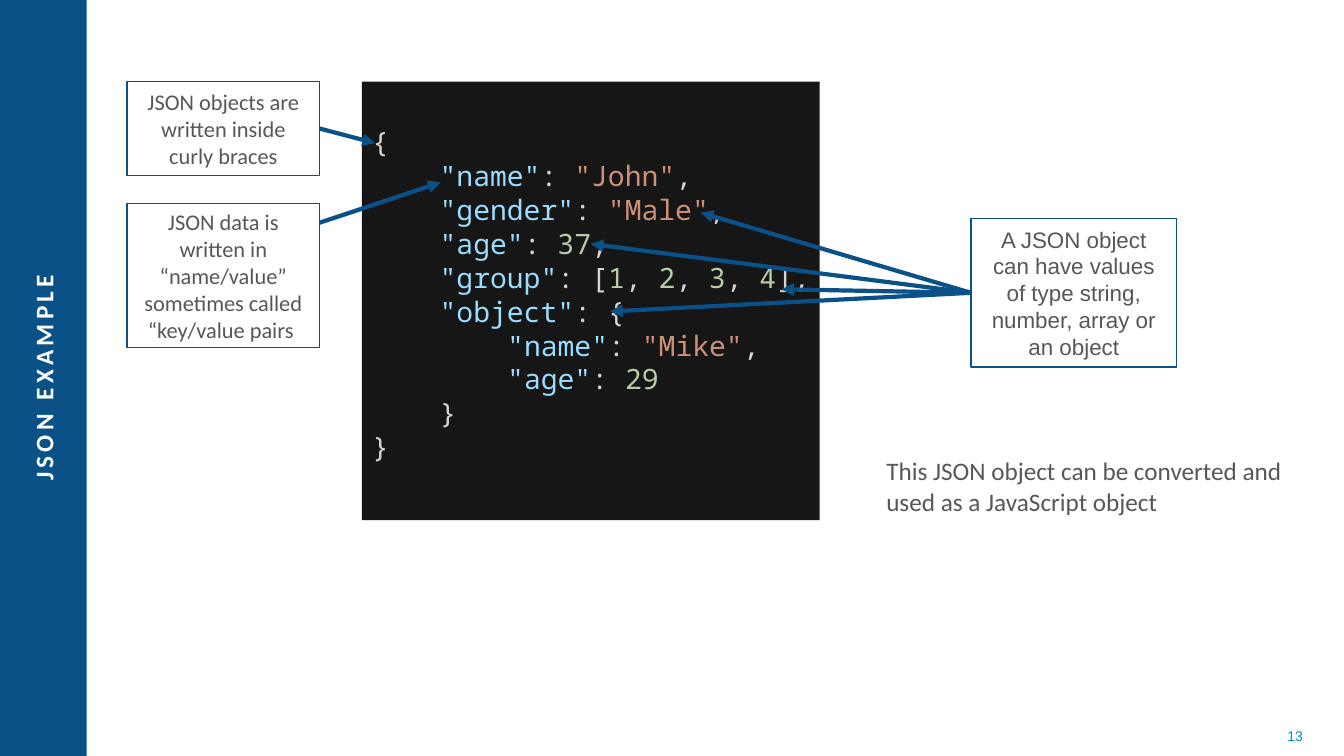
from lxml.etree import SubElement
from pptx import Presentation
from pptx.dml.color import RGBColor
from pptx.enum.shapes import MSO_CONNECTOR as Connector, MSO_SHAPE as Preset
from pptx.enum.text import MSO_ANCHOR as Anchor, MSO_AUTO_SIZE as AutoSize, PP_ALIGN as Align
from pptx.oxml.ns import qn
from pptx.util import Inches, Pt

BLUE, WHITE, GREY, CYAN, DARK = "0A5188", "FFFFFF", "565759", "008FD0", "161616"
KEY, STRING, NUMBER, PUNCTUATION = "9CDCFE", "CE9178", "B5CEA8", "D4D4D4"
CODE_INDENT = 0.67
RIGHT_SIDE, LEFT_SIDE = 3, 1

CODE_LINES = [
    (0, ["{"]),
    (1, ['"name"', ": ", '"John"', ","]),
    (1, ['"gender"', ": ", '"Male"', ","]),
    (1, ['"age"', ": ", "37", ","]),
    (1, ['"group"', ": [", "1", ", ", "2", ", ", "3", ", ", "4", "],"]),
    (1, ['"object"', ": {"]),
    (2, ['"name"', ": ", '"Mike"', ","]),
    (2, ['"age"', ": ", "29"]),
    (1, ["}"]),
    (0, ["}"]),
]


def color(hex_value):
    return RGBColor.from_string(hex_value)


def place(shape, left, top, width, height):
    shape.left, shape.top = Inches(left), Inches(top)
    shape.width, shape.height = Inches(width), Inches(height)


def set_font(font, name, size, hex_value, bold=False):
    font.name, font.size, font.bold = name, Pt(size), bold
    font.color.rgb = color(hex_value)


def set_frame(frame, anchor):
    frame.word_wrap = True
    frame.auto_size = AutoSize.NONE
    frame.vertical_anchor = anchor


def remove_bullet(paragraph, indent=0):
    properties = paragraph._p.get_or_add_pPr()
    properties.set("marL", str(Inches(indent)))
    properties.set("indent", "0")
    SubElement(properties, qn("a:buNone"))


def add_rectangle(slide, box, fill, line=None):
    shape = slide.shapes.add_shape(Preset.RECTANGLE, *map(Inches, box))
    shape.shadow.inherit = False
    shape.fill.solid()
    shape.fill.fore_color.rgb = color(fill)
    if line:
        shape.line.color.rgb = color(line)
        shape.line.width = Pt(1)
    else:
        shape.line.fill.background()
    return shape


def add_sidebar(slide, box):
    left, top, width, height = box
    band = add_rectangle(slide, box, BLUE)
    slide.shapes._spTree.insert(2, band._element)
    title = slide.shapes.title
    length, thickness = 7.68, 0.32
    place(title, left + (width - length) / 2, top + (height - thickness) / 2 - 0.01, length, thickness)
    title.rotation = 270
    set_frame(title.text_frame, Anchor.MIDDLE)
    paragraph = title.text_frame.paragraphs[0]
    paragraph.alignment = Align.CENTER
    run = paragraph.add_run()
    run.text = "JSON EXAMPLE"
    set_font(run.font, "Calibri", 18, WHITE, bold=True)
    run._r.get_or_add_rPr().set("spc", "300")


def add_slide_number(slide, box):
    shape = slide.shapes.add_textbox(*map(Inches, box))
    set_frame(shape.text_frame, Anchor.MIDDLE)
    paragraph = shape.text_frame.paragraphs[0]
    paragraph.text = "13"
    paragraph.alignment = Align.RIGHT
    set_font(paragraph.font, "Arial", 10, CYAN)


def fill_remark(remark, box):
    place(remark, *box)
    set_frame(remark.text_frame, Anchor.BOTTOM)
    paragraph = remark.text_frame.paragraphs[0]
    paragraph.text = "This JSON object can be converted and used as a JavaScript object"
    paragraph.space_before, paragraph.space_after = Pt(10), Pt(8)
    set_font(paragraph.font, "Calibri", 18, GREY)
    remove_bullet(paragraph)


def token_color(position, token):
    if token.startswith('"'):
        return STRING if position else KEY
    return NUMBER if token.isdigit() else PUNCTUATION


def fill_code(code, box):
    place(code, *box)
    code.fill.solid()
    code.fill.fore_color.rgb = color(DARK)
    frame = code.text_frame
    set_frame(frame, Anchor.MIDDLE)
    frame.margin_right = Inches(0)
    for number, (level, tokens) in enumerate(CODE_LINES):
        paragraph = frame.add_paragraph() if number else frame.paragraphs[0]
        paragraph.line_spacing = Pt(14.2)
        paragraph.space_before, paragraph.space_after = Pt(10), Pt(0)
        remove_bullet(paragraph, level * CODE_INDENT)
        for position, token in enumerate(tokens):
            run = paragraph.add_run()
            run.text = token
            set_font(run.font, "Noto Sans Mono", 20, token_color(position, token))


def add_callout(slide, box, text, font_name="Calibri"):
    shape = add_rectangle(slide, box, WHITE, BLUE)
    set_frame(shape.text_frame, Anchor.MIDDLE)
    paragraph = shape.text_frame.paragraphs[0]
    paragraph.text = text
    paragraph.alignment = Align.CENTER
    set_font(paragraph.font, font_name, 16, GREY)
    return shape


def add_arrow(slide, start, end, callout=None, side=None):
    arrow = slide.shapes.add_connector(Connector.STRAIGHT, *map(Inches, start + end))
    if callout is not None:
        arrow.begin_connect(callout, side)
    arrow.line.color.rgb = color(BLUE)
    arrow.line.width = Pt(3)
    SubElement(arrow.line._get_or_add_ln(), qn("a:tailEnd"), type="triangle")
    SubElement(arrow._element.spPr, qn("a:effectLst"))


def add_syntax_callouts(slide, box):
    left, top, width, height = box
    right = left + width
    add_arrow(slide, (right, top + 1.4), (4.37, 1.81))
    add_callout(slide, (left, top + 1.21, width, height - 1.21),
                "JSON data is written in “name/value” sometimes called “key/value pairs ")
    braces = add_callout(slide, (left, top, width, 0.93),
                         "JSON objects are written inside curly braces")
    add_arrow(slide, (right, top + 0.47), (3.72, 1.42), braces, RIGHT_SIDE)


def add_value_callout(slide, box):
    left, top, width, height = box
    values = add_callout(slide, box, "A JSON object can have values of type string, number, array or an object",
                         "Arial")
    for target in [(6.95, 2.11), (5.86, 2.42), (7.75, 2.87), (6.05, 3.09)]:
        add_arrow(slide, (left, top + height / 2), target, values, LEFT_SIDE)


def build_json_slide(presentation):
    slide = presentation.slides.add_slide(presentation.slide_layouts.get_by_name("Two Content"))
    remark, code = slide.placeholders[1], slide.placeholders[2]
    add_sidebar(slide, (0, 0, 0.86, 7.52))
    add_slide_number(slide, (9.91, 7.1, 3.11, 0.4))
    fill_remark(remark, (8.69, 4.09, 4.21, 1.08))
    fill_code(code, (3.59, 0.81, 4.54, 4.35))
    add_syntax_callouts(slide, (1.26, 0.81, 1.91, 2.64))
    add_value_callout(slide, (9.63, 2.17, 2.04, 1.47))


def main():
    presentation = Presentation()
    presentation.slide_width, presentation.slide_height = Inches(13.33), Inches(7.5)
    build_json_slide(presentation)
    presentation.save("out.pptx")


if __name__ == "__main__":
    main()
